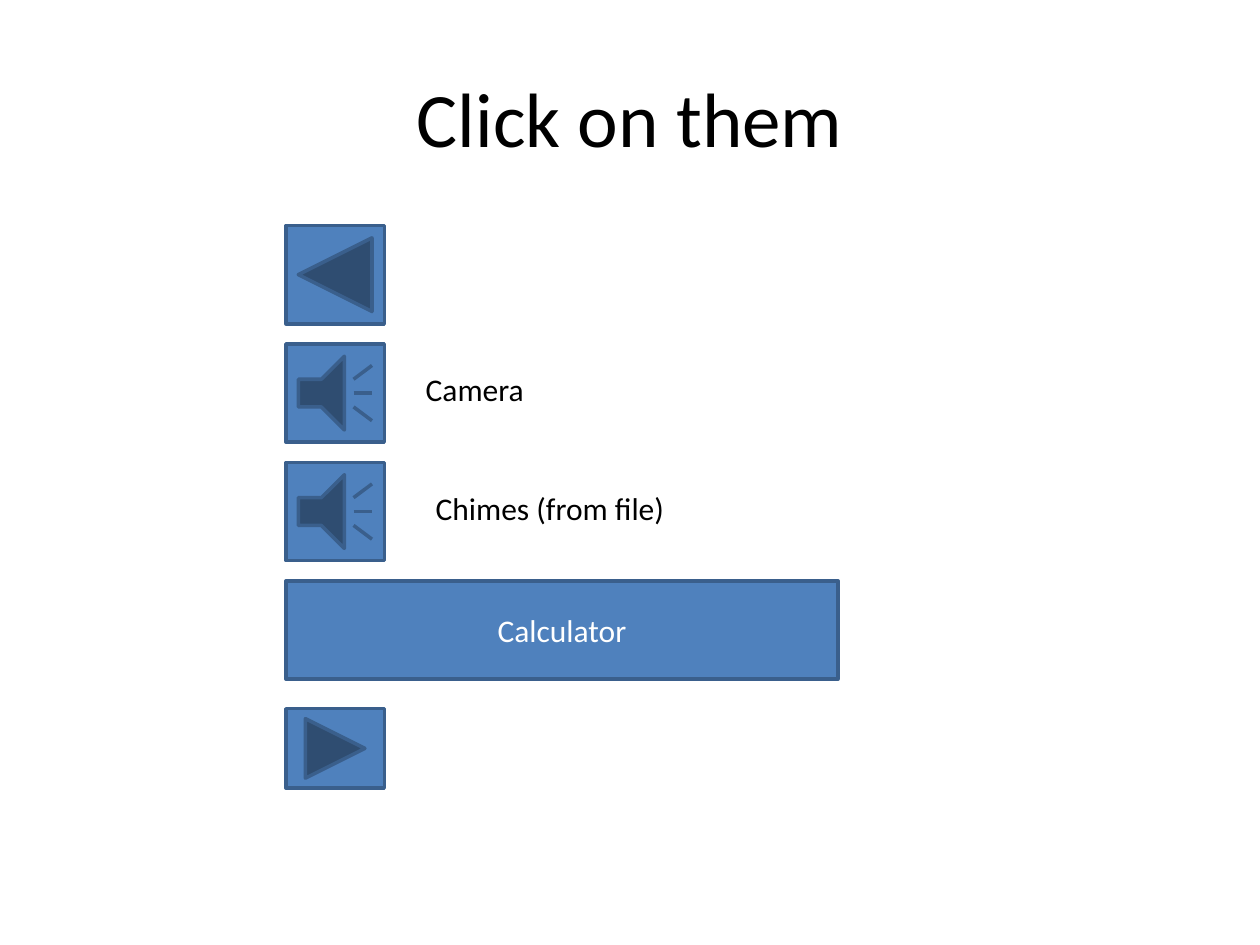
from dataclasses import dataclass

from pptx import Presentation
from pptx import util as u
from pptx.dml.color import RGBColor
from pptx.enum import shapes, text


@dataclass(frozen=True)
class Theme:
    font: str = "Calibri"
    title_size: int = 44
    body_size: int = 18
    line_width: int = 2
    dark: RGBColor = RGBColor(0x00, 0x00, 0x00)
    light: RGBColor = RGBColor(0xFF, 0xFF, 0xFF)
    fill: RGBColor = RGBColor(0x4F, 0x81, 0xBD)
    line: RGBColor = RGBColor(0x3A, 0x5F, 0x8C)


THEME = Theme()
WIDTH, HEIGHT = 10, 7.5

# Button column: equal rows, each button centred in its row
LEFT, TOP = 2.27, 1.79
BUTTON, PITCH = 0.78, 0.94
LABEL_HEIGHT = 0.4


def row_top(row, height):
    return TOP + row * PITCH + (BUTTON - height) / 2


def inches(*lengths):
    return [u.Inches(length) for length in lengths]


def write(shape, wording, size, color, alignment, anchor):
    frame = shape.text_frame
    frame.text = wording
    frame.word_wrap = True
    frame.vertical_anchor = anchor
    paragraph = frame.paragraphs[0]
    paragraph.alignment = alignment
    font = paragraph.runs[0].font
    font.name, font.size = THEME.font, u.Pt(size)
    font.color.rgb = color


def add_title(slide, wording):
    margin = 0.05 * WIDTH
    shape = slide.shapes.add_textbox(
        *inches(margin, 0.04 * HEIGHT, WIDTH - 2 * margin, HEIGHT / 6))
    write(shape, wording, THEME.title_size, THEME.dark,
          text.PP_ALIGN.CENTER, text.MSO_ANCHOR.MIDDLE)


def add_button(slide, kind, row, width=BUTTON, height=BUTTON, wording=None):
    shape = slide.shapes.add_shape(
        kind, *inches(LEFT, row_top(row, height), width, height))
    shape.shadow.inherit = False
    shape.fill.solid()
    shape.fill.fore_color.rgb = THEME.fill
    shape.line.color.rgb = THEME.line
    shape.line.width = u.Pt(THEME.line_width)
    if wording:
        write(shape, wording, THEME.body_size, THEME.light,
              text.PP_ALIGN.CENTER, text.MSO_ANCHOR.MIDDLE)


def add_label(slide, wording, row, left, width):
    # Labels sit slightly above the middle of their row
    top = row_top(row, LABEL_HEIGHT) - 0.03
    shape = slide.shapes.add_textbox(*inches(left, top, width, LABEL_HEIGHT))
    write(shape, wording, THEME.body_size, THEME.dark,
          text.PP_ALIGN.LEFT, text.MSO_ANCHOR.TOP)
    shape.text_frame.auto_size = text.MSO_AUTO_SIZE.SHAPE_TO_FIT_TEXT


def main():
    presentation = Presentation()
    presentation.slide_width, presentation.slide_height = inches(WIDTH, HEIGHT)
    slide = presentation.slides.add_slide(presentation.slide_layouts[6])
    kinds = shapes.MSO_SHAPE

    add_title(slide, "Click on them")

    # Action buttons, from top to bottom
    add_button(slide, kinds.ACTION_BUTTON_BACK_OR_PREVIOUS, 0)
    add_button(slide, kinds.ACTION_BUTTON_SOUND, 1)
    add_button(slide, kinds.ACTION_BUTTON_SOUND, 2)
    add_button(slide, kinds.ACTION_BUTTON_CUSTOM, 3, width=4.38,
               wording="Calculator")
    add_button(slide, kinds.ACTION_BUTTON_FORWARD_OR_NEXT, 4, height=0.63)

    # Names of the sounds
    add_label(slide, "Camera", 1, left=3.28, width=2.42)
    add_label(slide, "Chimes (from file)", 2, left=3.36, width=2.66)

    presentation.save("out.pptx")


if __name__ == "__main__":
    main()
